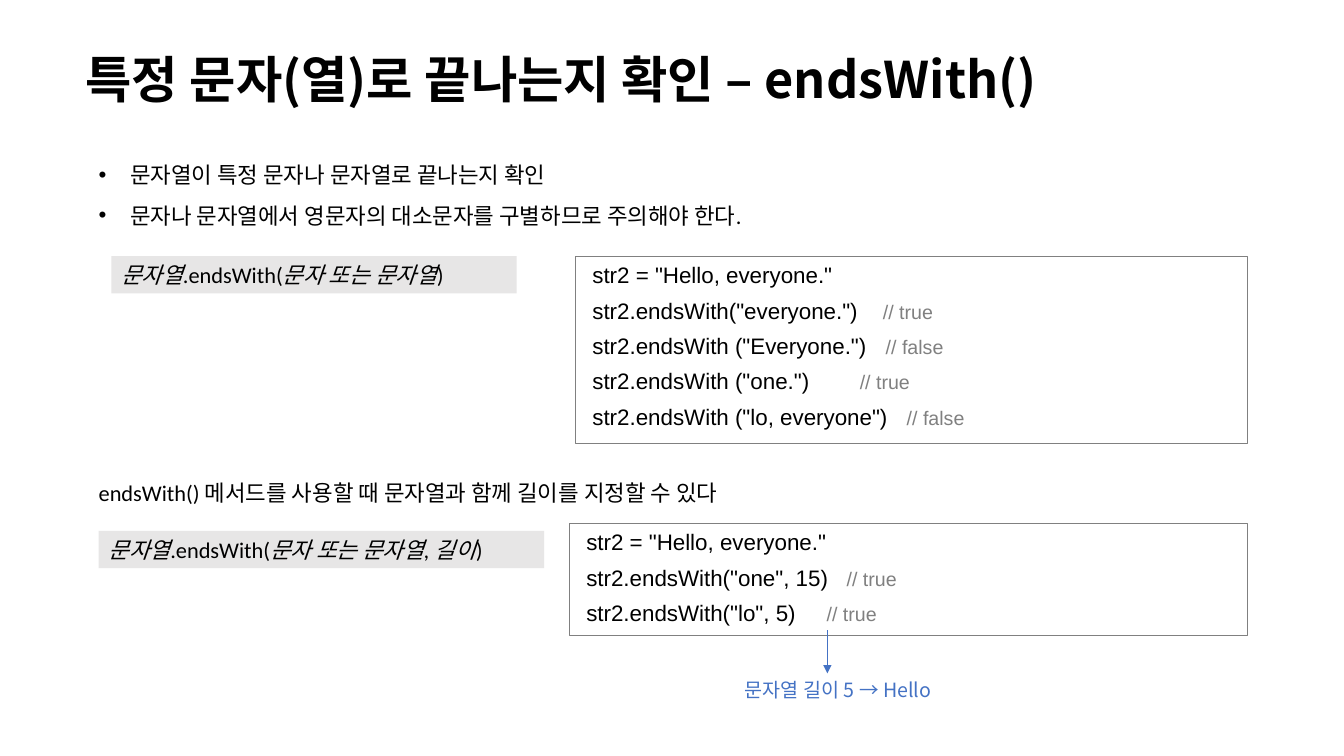
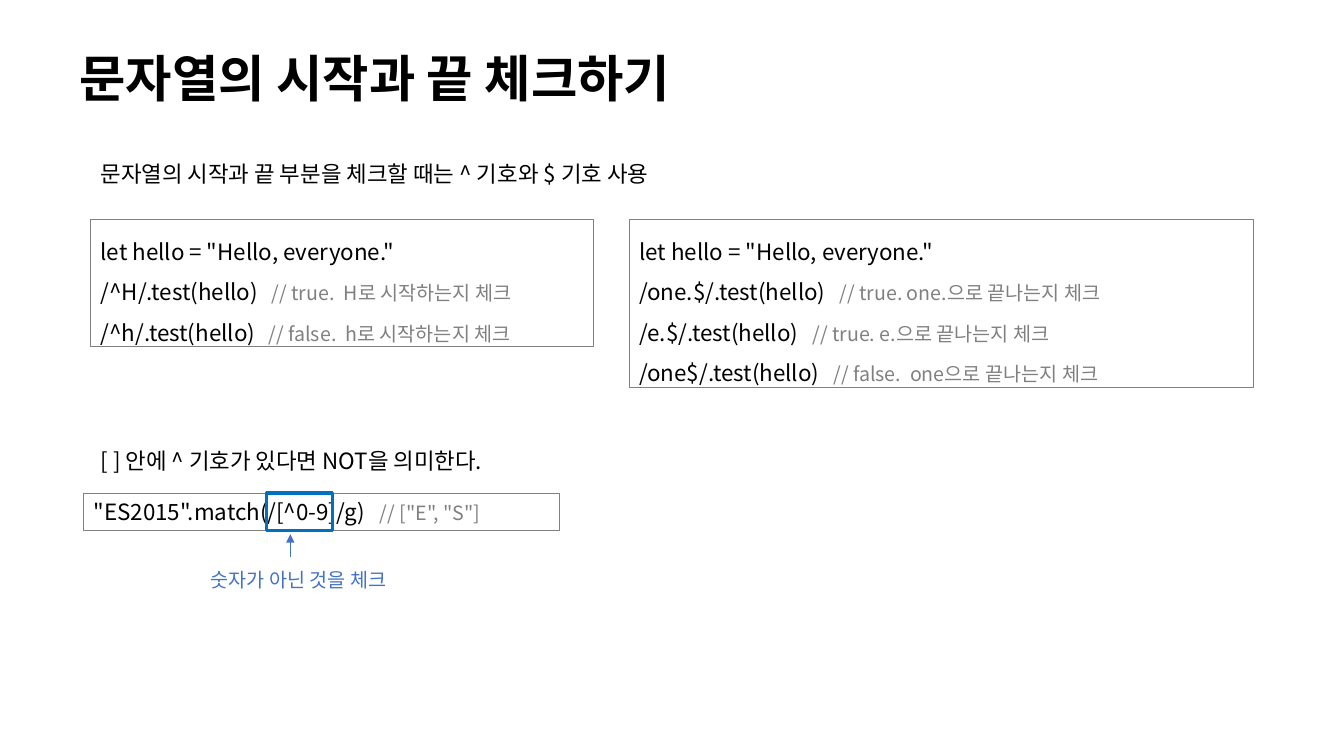
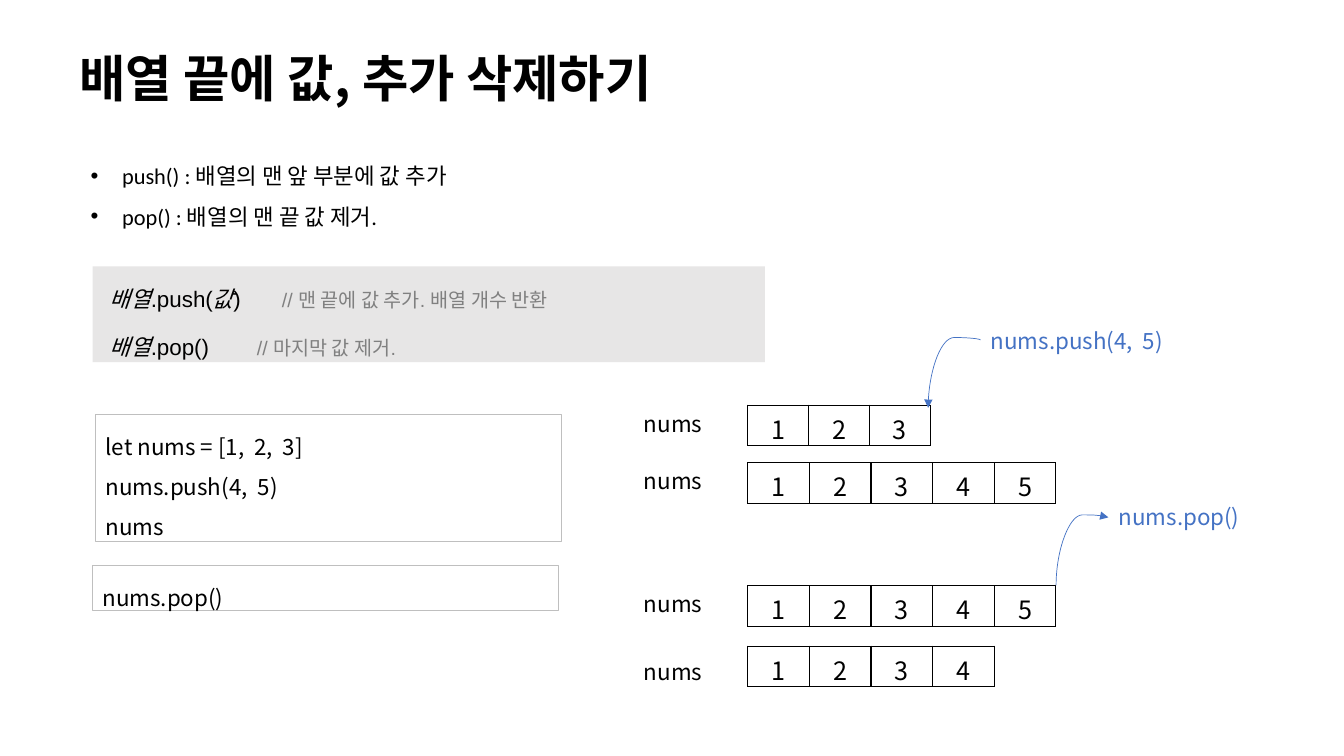
from lxml import etree
from pptx import Presentation
from pptx import util as u
from pptx.dml.color import RGBColor
from pptx.enum import shapes, text
from pptx.oxml.ns import qn

Pt = u.Pt
NOTO, CALIBRI, ARIAL = "Noto Sans CJK KR", "Calibri", "Arial"
BLACK, GREY, PALE, SILVER = "000000", "808080", "E7E6E6", "BFBFBF"
BLUE, BRIGHT_BLUE = "4472C4", "0070C0"
TITLE_BOX = (49.7, 25.2, 701.3, 66.2)

# Look of each kind of text block
KINDS = {
    "title": dict(size=36, bold=True, anchor=text.MSO_ANCHOR.MIDDLE),
    "text": dict(),
    "latin text": dict(font=CALIBRI, spacing=1.5),
    "bullets": dict(font=CALIBRI, spacing=1.5, bullet=True),
    "syntax": dict(font=CALIBRI, fill=PALE),
    "wide syntax": dict(font=ARIAL, fill=PALE, spacing=1.5, gap=3, inset=12.2),
    "arial code": dict(font=ARIAL, line=GREY, gap=3, inset=12.2),
    "code": dict(line=GREY, spacing=1.5),
    "single code": dict(line=GREY),
    "pale code": dict(line=SILVER, spacing=1.5),
    "callout": dict(size=14, color=BLUE),
    "call": dict(color=BLUE, spacing=1.5),
}

# A block is (kind, box, lines). A line is text, with *italic* parts,
# or (code, comment, tab stop of the comment).
ENDS_WITH = [
    ("title", (54, 28.8, 874, 54), ["특정 문자(열)로 끝나는지 확인 – endsWith()"]),
    ("bullets", (63.4, 102.2, 782.6, 62), [
        "문자열이 특정 문자나 문자열로 끝나는지 확인",
        "문자나 문자열에서 영문자의 대소문자를 구별하므로 주의해야 한다."]),
    ("syntax", (79.5, 183, 289.5, 26.6), ["*문자열*.endsWith(*문자 또는 문자열*)"]),
    ("arial code", (411, 183.3, 480.2, 133.2), [
        'str2 = "Hello, everyone."',
        ('str2.endsWith("everyone.")', "// true", 207.5),
        ('str2.endsWith ("Everyone.")', "// false", 209.5),
        ('str2.endsWith ("one.")', "// true", 191),
        ('str2.endsWith ("lo, everyone")', "// false", 224.5)]),
    ("latin text", (63.4, 329, 545, 33),
     ["endsWith() 메서드를 사용할 때 문자열과 함께 길이를 지정할 수 있다"]),
    ("syntax", (70.5, 379.3, 318.2, 26.6),
     ["*문자열*.endsWith(*문자 또는 문자열, 길이*)"]),
    ("arial code", (406.6, 374, 484.6, 80), [
        'str2 = "Hello, everyone."',
        ('str2.endsWith("one", 15)', "// true", 186),
        ('str2.endsWith("lo", 5)', "// true", 171.7)]),
    ("callout", (524.9, 481, 206.6, 24.5), ["문자열 길이 5 → Hello"]),
]

START_AND_END = [
    ("title", TITLE_BOX, ["문자열의 시작과 끝 체크하기"]),
    ("text", (64.8, 110.9, 631.4, 26.6),
     ["문자열의 시작과 끝 부분을 체크할 때는 ^ 기호와 $ 기호 사용"]),
    ("code", (64.8, 157, 359.3, 90.7), [
        'let hello = "Hello, everyone."',
        ("/^H/.test(hello)", "// true.  H로 시작하는지 체크", 122.3),
        ("/^h/.test(hello)", "// false.  h로 시작하는지 체크", 120)]),
    ("code", (449.7, 157, 445.7, 119.5), [
        'let hello = "Hello, everyone."',
        ("/one.$/.test(hello)", "// true. one.으로 끝나는지 체크", 142.8),
        ("/e.$/.test(hello)", "// true. e.으로 끝나는지 체크", 123.5),
        ("/one$/.test(hello)", "// false.  one으로 끝나는지 체크", 138.5)]),
    ("text", (64.8, 316, 631.4, 26.6), ["[ ] 안에 ^ 기호가 있다면 NOT을 의미한다."]),
    ("single code", (59.8, 352.2, 339.8, 26.6),
     [('"ES2015".match(/[^0-9]/g)', '// ["E", "S"]', 204.4)]),
    ("callout", (143.3, 401.8, 172.8, 24.5), ["숫자가 아닌 것을 체크"]),
]

PUSH_AND_POP = [
    ("title", TITLE_BOX, ["배열 끝에 값, 추가 삭제하기"]),
    ("bullets", (57.6, 103, 782, 62), [
        "push() : 배열의 맨 앞 부분에 값 추가",
        "pop() : 배열의 맨 끝 값 제거."]),
    ("wide syntax", (66.2, 190.2, 480.2, 68.4), [
        ("*배열*.push(*값*)", "// 맨 끝에 값 추가. 배열 개수 반환", 123),
        ("*배열*.pop()", "// 마지막 값 제거.", 105.2)]),
    ("pale code", (68.4, 296.2, 332.6, 90.7),
     ["let nums = [1,  2,  3]", "nums.push(4,  5)", "nums"]),
    ("pale code", (66.2, 404, 332.6, 32.4), ["nums.pop()"]),
    ("call", (700.6, 220.3, 154.8, 32.4), ["nums.push(4,  5)"]),
    ("call", (792, 346.3, 154.8, 32.4), ["nums.pop()"]),
]

# Arrays on the last slide: top, label top, column width, number of values
ARRAYS = [(289.4, 289.4, 43.4, 3), (330.5, 330.5, 44, 5),
          (418.3, 418.3, 44, 5), (461.5, 466.6, 44, 4)]
ARRAY_LEFT, LABEL_LEFT, ROW_HEIGHT = 534.2, 452.9, 29


def rgb(value):
    return RGBColor.from_string(value)


def add_xml(parent, tag, **attributes):
    return etree.SubElement(parent, qn(tag), attributes)


def add_span(para, words, font, size, color, bold=False, italic=False):
    span = para.add_run()
    span.text = words
    span.font.name = font
    span.font.size = Pt(size)
    span.font.bold = bold
    span.font.italic = italic
    span.font.color.rgb = rgb(color)
    add_xml(span._r.get_or_add_rPr(), "a:ea", typeface=NOTO)


def add_rectangle(page, box, fill=None, line=None, width=0.75):
    shape = page.shapes.add_shape(shapes.MSO_SHAPE.RECTANGLE, *map(Pt, box))
    shape.shadow.inherit = False
    if fill:
        shape.fill.solid()
        shape.fill.fore_color.rgb = rgb(fill)
    else:
        shape.fill.background()
    if line:
        shape.line.color.rgb = rgb(line)
        shape.line.width = Pt(width)
    else:
        shape.line.fill.background()
    return shape


def add_block(page, box, lines, font=NOTO, size=16, color=BLACK, bold=False,
              spacing=1, gap=0, inset=7.2, bullet=False,
              anchor=text.MSO_ANCHOR.TOP, fill=None, line=None):
    if fill or line:
        shape = add_rectangle(page, box, fill, line)
    else:
        shape = page.shapes.add_textbox(*map(Pt, box))
    frame = shape.text_frame
    frame.word_wrap = True
    frame.vertical_anchor = anchor
    frame.margin_left = Pt(inset)
    for index, content in enumerate(lines):
        para = frame.paragraphs[0] if index == 0 else frame.add_paragraph()
        para.alignment = text.PP_ALIGN.LEFT
        para.line_spacing = spacing
        para.space_before = Pt(gap if index else 0)
        para.space_after = Pt(gap)
        code, comment, stop = (content, None, 0) if isinstance(content, str) else content
        properties = para._p.get_or_add_pPr()
        if bullet:
            properties.set("marL", str(Pt(22.5)))
            properties.set("indent", str(-Pt(22.5)))
            add_xml(properties, "a:buFont", typeface=ARIAL)
            add_xml(properties, "a:buChar", char="•")
        if comment:
            tabs = add_xml(properties, "a:tabLst")
            add_xml(tabs, "a:tab", pos=str(Pt(stop)), algn="l")
        for part, words in enumerate(code.split("*")):
            if words:
                add_span(para, words, font, size, color, bold, part % 2 == 1)
        if comment:
            add_span(para, "\t" + comment, font, 14, GREY)


def add_arrow(page, start, end, head_at="a:tailEnd", kind=shapes.MSO_CONNECTOR.STRAIGHT):
    arrow = page.shapes.add_connector(kind, *map(Pt, start + end))
    arrow.line.color.rgb = rgb(BLUE)
    arrow.line.width = Pt(0.5)
    add_xml(arrow.line._get_or_add_ln(), head_at, type="triangle")
    add_xml(arrow._element.spPr, "a:effectLst")
    return arrow


def add_hook(page, left, top, head_at):
    """Curve that leaves a call to the left and drops to an array."""
    arrow = add_arrow(page, (left, top), (left + 48.5, top + 37.4), head_at,
                      shapes.MSO_CONNECTOR.CURVE)
    properties = arrow._element.spPr
    properties.find(qn("a:xfrm")).set("rot", "5400000")
    geometry = properties.find(qn("a:prstGeom"))
    guides = geometry.find(qn("a:avLst"))
    if guides is None:
        guides = add_xml(geometry, "a:avLst")
    add_xml(guides, "a:gd", name="adj1", fmla="val -3700")


def add_array(page, top, label_top, column_width, count):
    add_block(page, (LABEL_LEFT, label_top, 68.4, 26.6), ["nums"])
    graphic = page.shapes.add_table(1, count, Pt(ARRAY_LEFT), Pt(top),
                                    Pt(column_width * count), Pt(ROW_HEIGHT))
    table = graphic.table
    table.first_row = table.horz_banding = False
    for index, cell in enumerate(table.rows[0].cells):
        table.columns[index].width = Pt(column_width)
        cell.vertical_anchor = text.MSO_ANCHOR.MIDDLE
        for side in ("a:lnL", "a:lnR", "a:lnT", "a:lnB"):
            border = add_xml(cell._tc.get_or_add_tcPr(), side, w=str(Pt(1)))
            add_xml(add_xml(border, "a:solidFill"), "a:srgbClr", val=BLACK)
        cell.fill.background()
        para = cell.text_frame.paragraphs[0]
        para.alignment = text.PP_ALIGN.CENTER
        add_span(para, str(index + 1), NOTO, 18, BLACK)


def add_page(deck, blocks, title_spacing=0.9):
    page = deck.slides.add_slide(deck.slide_layouts[6])
    for kind, box, lines in blocks:
        look = dict(KINDS[kind])
        if kind == "title":
            look["spacing"] = title_spacing
        add_block(page, box, lines, **look)
    return page


def main():
    deck = Presentation()
    deck.slide_width, deck.slide_height = Pt(960), Pt(540)

    page = add_page(deck, ENDS_WITH, title_spacing=1)
    add_arrow(page, (591, 450), (591, 481))

    page = add_page(deck, START_AND_END)
    add_rectangle(page, (190.6, 352.2, 46.8, 26.6), line=BRIGHT_BLUE, width=2.25)
    add_arrow(page, (207.4, 398.2), (207.4, 381.6))

    page = add_page(deck, PUSH_AND_POP)
    for array in ARRAYS:
        add_array(page, *array)
    add_hook(page, 657.4, 248.4, "a:tailEnd")
    add_hook(page, 748.8, 375.1, "a:headEnd")

    deck.save("out.pptx")


if __name__ == "__main__":
    main()
